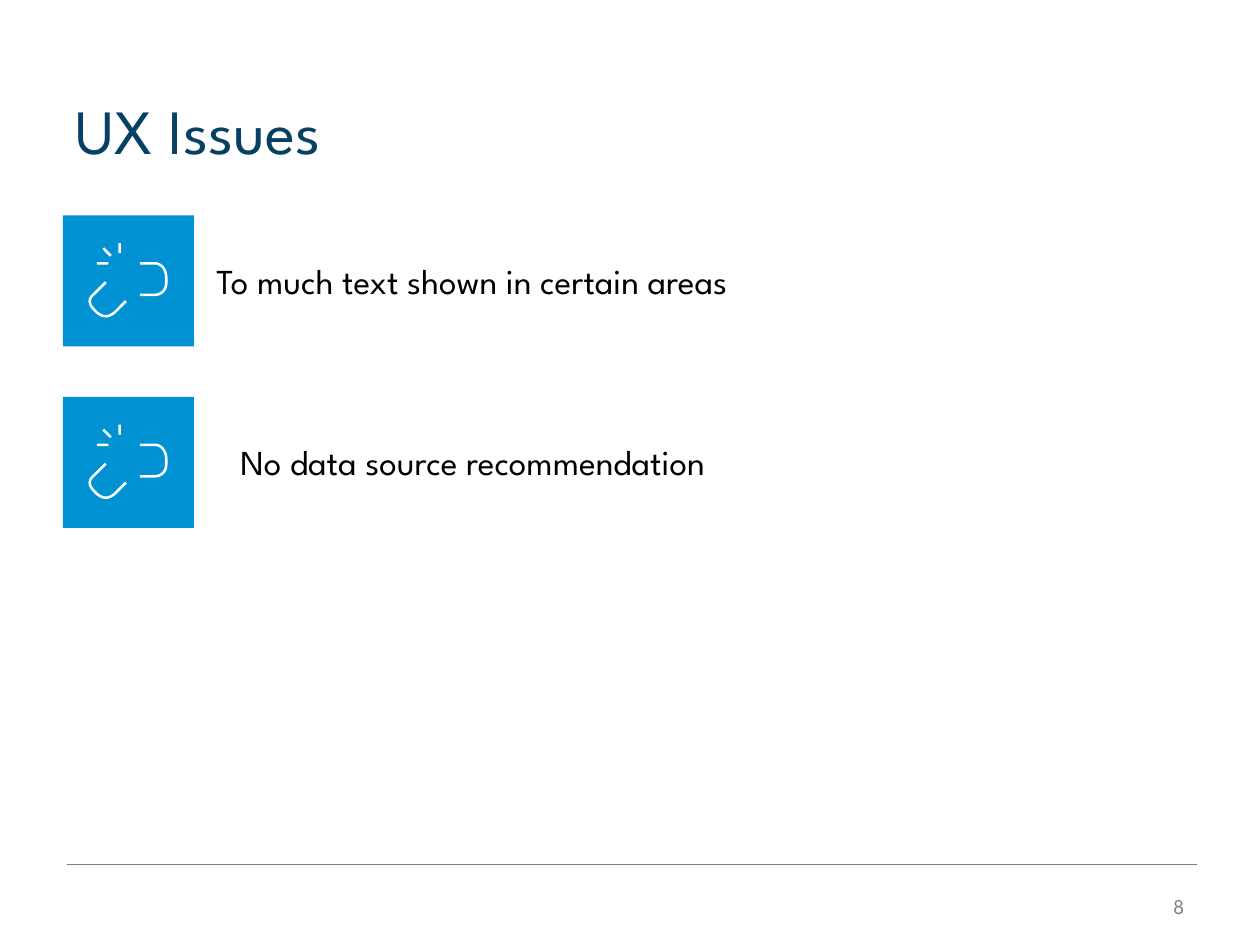
from dataclasses import dataclass
from math import hypot

from lxml import etree
from pptx import Presentation
from pptx.dml.color import RGBColor
from pptx.enum.shapes import MSO_CONNECTOR, MSO_SHAPE
from pptx.enum.text import MSO_ANCHOR, PP_ALIGN
from pptx.oxml.ns import qn
from pptx.util import Inches, Pt

RECT = MSO_SHAPE.RECTANGLE
STRAIGHT = MSO_CONNECTOR.STRAIGHT
BOTTOM, MIDDLE, TOP = MSO_ANCHOR.BOTTOM, MSO_ANCHOR.MIDDLE, MSO_ANCHOR.TOP
LEFT, RIGHT = PP_ALIGN.LEFT, PP_ALIGN.RIGHT

FONT = "League Spartan"
COLORS = {"title": "064163", "text": "000000", "tile": "0092D2",
          "icon": "FFFFFF", "muted": "7F7F7F"}
TILE_LEFT, TILE_SIZE = 0.5, 1.04
FIRST_TOP, ROW_PITCH = 1.71, 1.44
HALF_STROKE = 0.01

Point = tuple[float, float]


@dataclass
class Issue:
    text: str
    left: float
    width: float


ISSUES = [
    Issue("To much text shown in certain areas", 1.62, 5.26),
    Issue("No data source recommendation", 1.81, 4.93),
]


def rgb(name: str) -> RGBColor:
    return RGBColor.from_string(COLORS[name])


def bezier(a: Point, b: Point, c: Point, d: Point, steps: int = 10) -> list[Point]:
    """Sample a cubic curve from a to d."""
    points = []
    for i in range(steps + 1):
        t = i / steps
        u = 1 - t
        weights = (u ** 3, 3 * u * u * t, 3 * u * t * t, t ** 3)
        points.append(tuple(sum(w * q[k] for w, q in zip(weights, (a, b, c, d)))
                            for k in (0, 1)))
    return points


# Centre lines of the broken link, in inches from the tile's corner
LINK_STROKES = [
    [(0.32, 0.26), (0.38, 0.32)],
    [(0.45, 0.22), (0.45, 0.30)],
    [(0.27, 0.38), (0.36, 0.38)],
    [(0.34, 0.53),
     *bezier((0.25, 0.62), (0.20, 0.66), (0.20, 0.70), (0.25, 0.75)),
     *bezier((0.27, 0.77), (0.32, 0.81), (0.36, 0.81), (0.41, 0.77)),
     (0.50, 0.68)],
    [(0.61, 0.38),
     *bezier((0.73, 0.38), (0.78, 0.38), (0.82, 0.43), (0.82, 0.49)),
     *bezier((0.82, 0.54), (0.82, 0.59), (0.78, 0.63), (0.73, 0.63)),
     (0.61, 0.63)],
]


def outline(line: list[Point]) -> list[Point]:
    """Widen a centre line into a closed band."""
    sides = ([], [])
    for i, (x, y) in enumerate(line):
        x0, y0 = line[max(i - 1, 0)]
        x1, y1 = line[min(i + 1, len(line) - 1)]
        scale = HALF_STROKE / hypot(x1 - x0, y1 - y0)
        nx, ny = (y0 - y1) * scale, (x1 - x0) * scale
        sides[0].append((x + nx, y + ny))
        sides[1].append((x - nx, y - ny))
    return sides[0] + sides[1][::-1]


def paint(sp, color: str) -> None:
    sp.shadow.inherit = False
    sp.fill.solid()
    sp.fill.fore_color.rgb = rgb(color)
    sp.line.fill.background()


def add_icon(s, top: float) -> None:
    shapes = s.shapes.add_group_shape().shapes
    size = Inches(TILE_SIZE)
    paint(shapes.add_shape(RECT, Inches(TILE_LEFT), Inches(top), size, size), "tile")

    bands = [[(Inches(TILE_LEFT + x), Inches(top + y)) for x, y in outline(line)]
             for line in LINK_STROKES]
    builder = shapes.build_freeform(*bands[0][0])
    for i, band in enumerate(bands):
        if i:
            builder.move_to(*band[0])
        builder.add_line_segments(band[1:], close=True)
    paint(builder.convert_to_shape(), "icon")


def set_text(sp, text: str, size: int, color: str, align=LEFT, anchor=TOP) -> None:
    tf = sp.text_frame
    tf.word_wrap = True
    tf.vertical_anchor = anchor
    tf.text = text
    p = tf.paragraphs[0]
    p.alignment = align
    p.font.name, p.font.size = FONT, Pt(size)
    p.font.color.rgb = rgb(color)


def add_text(s, left: float, top: float, width: float, height: float,
             text: str, size: int, color: str, align=LEFT, anchor=TOP) -> None:
    box = s.shapes.add_textbox(Inches(left), Inches(top), Inches(width), Inches(height))
    set_text(box, text, size, color, align, anchor)


def add_footer(s, number: str) -> None:
    y = Inches(6.86)
    rule = s.shapes.add_connector(STRAIGHT, Inches(0.53), y, Inches(9.5), y)
    rule.line.color.rgb = rgb("muted")
    rule.line.width = Pt(0.25)
    etree.SubElement(rule._element.spPr, qn("a:effectLst"))
    add_text(s, 8.43, 6.99, 1.07, 0.4, number, 12, "muted", RIGHT, MIDDLE)


def main() -> None:
    prs = Presentation()
    prs.slide_width, prs.slide_height = Inches(10), Inches(7.5)
    s = prs.slides.add_slide(prs.slide_layouts[5])

    title = s.shapes.title
    title.left, title.top = Inches(0.5), Inches(0.3)
    title.width, title.height = Inches(9), Inches(1.08)
    set_text(title, "UX Issues", 36, "title", anchor=BOTTOM)

    for i, issue in enumerate(ISSUES):
        top = FIRST_TOP + i * ROW_PITCH
        add_text(s, issue.left, top + 0.3, issue.width, 0.44, issue.text, 20, "text")
        add_icon(s, top)
    add_footer(s, "8")
    prs.save("out.pptx")


if __name__ == "__main__":
    main()
